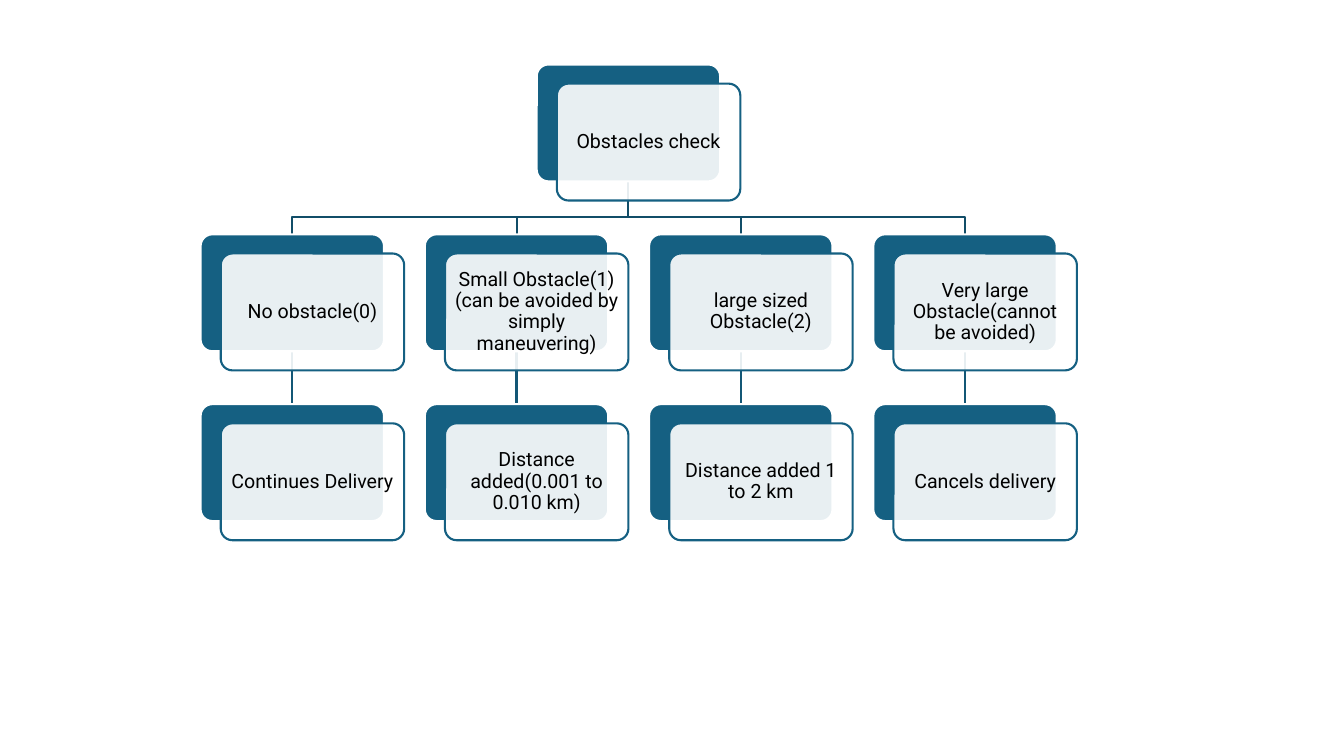
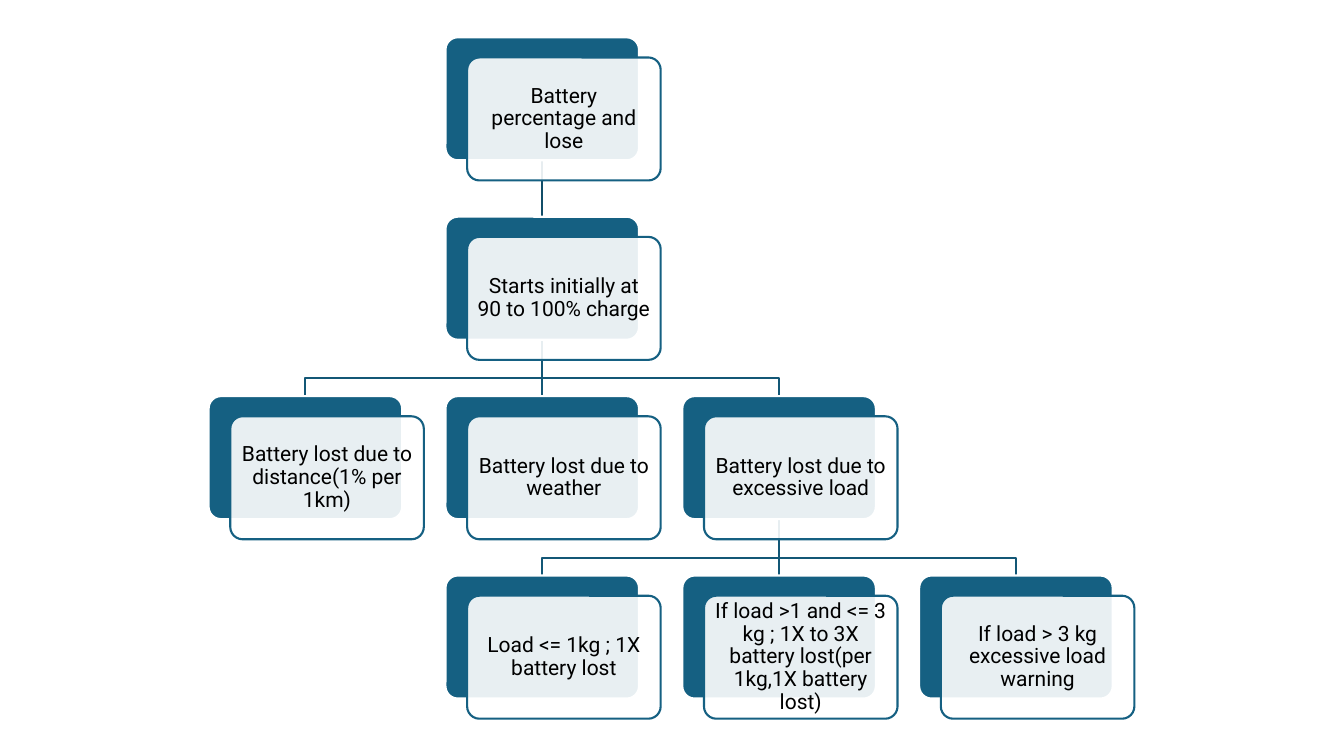
from collections import namedtuple
from pptx import Presentation
from pptx.dml.color import RGBColor
from pptx.enum.shapes import MSO_CONNECTOR as LINK, MSO_SHAPE as SHAPE
from pptx.enum.text import MSO_ANCHOR as ANCHOR, PP_ALIGN as ALIGN
from pptx.oxml.ns import qn
from pptx.util import Pt
from lxml.etree import SubElement as Sub

PX = 4572
WIDE, HIGH = 2667, 1500
TEAL = RGBColor(0x15, 0x60, 0x82)
DARK = RGBColor(0x11, 0x4D, 0x68)
MID = RGBColor(0x13, 0x57, 0x76)
WHITE = RGBColor(0xFF, 0xFF, 0xFF)
BLACK = RGBColor(0, 0, 0)
ALPHA = 90000
BEND = 35
INSET = 12 * PX

FRAME = {"word_wrap": True, "vertical_anchor": ANCHOR.MIDDLE,
         "margin_left": INSET, "margin_right": INSET,
         "margin_top": INSET, "margin_bottom": INSET}
PARA = {"alignment": ALIGN.CENTER, "line_spacing": 0.9}
FONT = {"name": "Roboto"}

Grid = namedtuple("Grid", "left top step row w h dx dy size")
Node = namedtuple("Node", "text col kids", defaults=((),))

CHECK = Node("Obstacles check", 1.5, (
    Node("No obstacle(0)", 0, (Node("Continues Delivery", 0),)),
    Node("Small Obstacle(1)(can be avoided by simply maneuvering)", 1,
         (Node("Distance added(0.001 to 0.010 km)", 1),)),
    Node("large sized Obstacle(2)", 2,
         (Node("Distance added 1 to 2 km", 2),)),
    Node("Very large Obstacle(cannot be avoided)", 3,
         (Node("Cancels delivery", 3),)),
))
POWER = Node("Battery percentage and lose", 1, (
    Node("Starts initially at 90 to 100% charge", 1, (
        Node("Battery lost due to distance(1% per 1km)", 0),
        Node("Battery lost due to weather", 1),
        Node("Battery lost due to excessive load", 2, (
            Node("Load <= 1kg ; 1X battery lost", 1),
            Node("If load >1 and <= 3 kg ; 1X to 3X battery lost"
                 "(per 1kg,1X battery lost)", 2),
            Node("If load > 3 kg excessive load warning", 3),
        )),
    )),
))
CHARTS = (
    (CHECK, Grid(398, 128, 445, 337, 364, 232, 40, 38, 14)),
    (POWER, Grid(414, 74, 470, 356, 384, 244, 43, 40, 15)),
)


def style(item, values):
    for name, value in values.items():
        setattr(item, name, value)


def stroke(shape, color):
    shape.line.color.rgb = color
    shape.line.width = Pt(1.5)


def panel(slide, x, y, grid, fill, edge):
    shape = slide.shapes.add_shape(
        SHAPE.ROUNDED_RECTANGLE, *(n * PX for n in (x, y, grid.w, grid.h)))
    shape.shadow.inherit = False
    shape.adjustments[0] = 0.1
    shape.fill.solid()
    shape.fill.fore_color.rgb = fill
    stroke(shape, edge)
    return shape


def card(slide, x, y, text, grid):
    back = panel(slide, x, y, grid, TEAL, WHITE)
    front = panel(slide, x + grid.dx, y + grid.dy, grid, WHITE, TEAL)
    tint = front.element.spPr.find(qn("a:solidFill"))[0]
    Sub(tint, qn("a:alpha"), val=str(ALPHA))
    frame = front.text_frame
    style(frame, FRAME)
    para = frame.paragraphs[0]
    style(para, PARA)
    run = para.add_run()
    run.text = text
    style(run.font, FONT | {"size": Pt(grid.size)})
    run.font.color.rgb = BLACK
    return back


def join(slide, top, low, color):
    x1, y1 = (top.left + top.width // 2) // PX, (top.top + top.height) // PX
    x2, y2 = (low.left + low.width // 2) // PX, low.top // PX
    if x1 == x2:
        line = slide.shapes.add_connector(
            LINK.STRAIGHT, *(n * PX for n in (x1, y1, x2, y2)))
        line.begin_connect(top, 2)
        line.end_connect(low, 0)
        stroke(line, color)
        Sub(line.element.spPr, qn("a:effectLst"))
    else:
        bend = y2 - BEND
        pen = slide.shapes.build_freeform(x1, y1, scale=PX)
        pen.add_line_segments(((x1, bend), (x2, bend), (x2, y2)), close=False)
        line = pen.convert_to_shape()
        line.fill.background()
        line.shadow.inherit = False
        stroke(line, color)
    line.element.getparent().insert(2, line.element)


def tree(slide, node, grid, depth=0):
    x = grid.left + int(node.col * grid.step)
    y = grid.top + depth * grid.row
    top = card(slide, x, y, node.text, grid)
    for kid in node.kids:
        low = tree(slide, kid, grid, depth + 1)
        join(slide, top, low, MID if depth else DARK)
    return top


def main():
    deck = Presentation()
    deck.slide_width, deck.slide_height = WIDE * PX, HIGH * PX
    for root, grid in CHARTS:
        tree(deck.slides.add_slide(deck.slide_layouts[6]), root, grid)
    deck.save("out.pptx")


if __name__ == "__main__":
    main()
